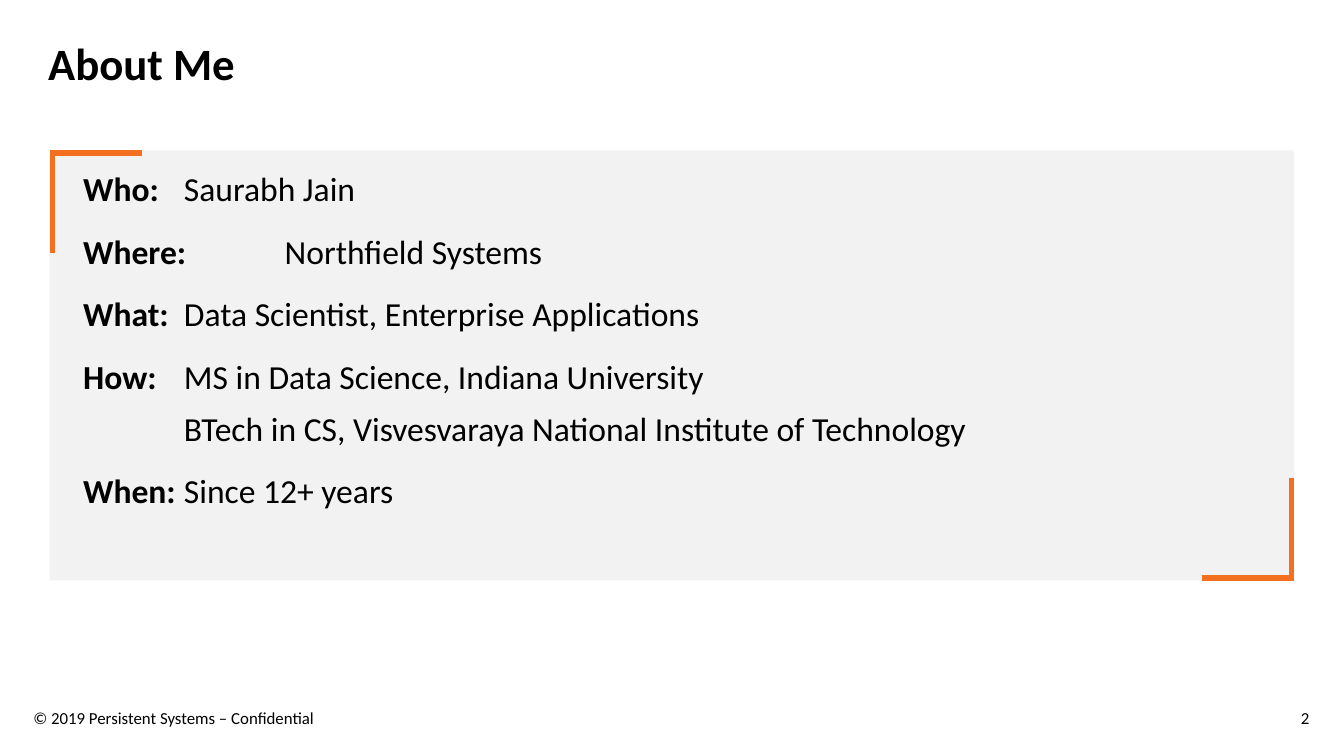
"""Build the "About Me" slide: a profile panel with two corner accents."""
from lxml.etree import SubElement
from pptx import Presentation
from pptx.dml.color import RGBColor
from pptx.enum.shapes import MSO_SHAPE
from pptx.enum.text import MSO_ANCHOR, PP_ALIGN
from pptx.oxml.ns import qn
from pptx.util import Inches, Pt

COLOURS = {"text": "000000", "panel": "F2F2F2", "accent": "F37021"}


def add_text_box(left, top, width, height, anchor=MSO_ANCHOR.TOP):
    frame = slide.shapes.add_textbox(
        Inches(left), Inches(top), Inches(width), Inches(height)
    ).text_frame
    frame.word_wrap = True
    frame.vertical_anchor = anchor
    return frame


def style(run, size, bold=False):
    run.font.name = "Calibri"
    run.font.size = Pt(size)
    run.font.bold = bold
    run.font.color.rgb = RGBColor.from_string(COLOURS["text"])


deck = Presentation()
deck.slide_width = Inches(10)
deck.slide_height = Inches(10 * 9 / 16)
slide = deck.slides.add_slide(deck.slide_layouts[6])

heading = add_text_box(0.26, 0.26, 8.69, 0.92).paragraphs[0]
heading.text = "About Me"
heading.line_spacing = 0.9
style(heading.runs[0], 24, bold=True)

panel = slide.shapes.add_shape(
    MSO_SHAPE.RECTANGLE, Inches(0.37), Inches(1.12), Inches(9.26), Inches(3.2)
)
panel.shadow.inherit = False
panel.fill.solid()
panel.fill.fore_color.rgb = RGBColor.from_string(COLOURS["panel"])
panel.line.fill.background()

for corner_x, corner_y, direction in [(0.39, 1.14, 1), (9.61, 4.3, -1)]:
    arm_x, arm_y = corner_x + direction * 0.67, corner_y + direction * 0.74
    outline = slide.shapes.build_freeform(Inches(corner_x), Inches(arm_y))
    outline.add_line_segments(
        [(Inches(corner_x), Inches(corner_y)), (Inches(arm_x), Inches(corner_y))],
        close=False,
    )
    accent = outline.convert_to_shape()
    accent.shadow.inherit = False
    accent.fill.background()
    accent.line.color.rgb = RGBColor.from_string(COLOURS["accent"])
    accent.line.width = Pt(3)
    SubElement(accent.element.spPr.find(qn("a:ln")), qn("a:miter"), lim="800000")

profile = [
    ("Who:", "Saurabh Jain", 12),
    ("Where:", "Northfield Systems", 12),
    ("What:", "Data Scientist, Enterprise Applications", 12),
    ("How:", "MS in Data Science, Indiana University", 6),
    ("", "BTech in CS, Visvesvaraya National Institute of Technology", 12),
    ("When:", "Since 12+ years", 12),
]
details = add_text_box(0.52, 1.2, 8.95, 3)
for index, (question, answer, gap) in enumerate(profile):
    entry = details.add_paragraph() if index else details.paragraphs[0]
    entry.space_after = Pt(gap)
    stops = SubElement(entry._p.get_or_add_pPr(), qn("a:tabLst"))
    for position in (0.75, 1.5):
        SubElement(stops, qn("a:tab"), pos=str(Inches(position)), algn="l")
    for words, bold in [(question, True), ("\t" + answer, False)]:
        if words:
            run = entry.add_run()
            run.text = words
            style(run, 18, bold)

footers = [
    ("© 2019 Persistent Systems – Confidential", 0.15, 2.96, PP_ALIGN.LEFT),
    ("2", 7.59, 2.25, PP_ALIGN.RIGHT),
]
for words, left, width, alignment in footers:
    footer = add_text_box(left, 5.19, width, 0.3, MSO_ANCHOR.MIDDLE).paragraphs[0]
    footer.text = words
    footer.alignment = alignment
    style(footer.runs[0], 9)

deck.save("out.pptx")
